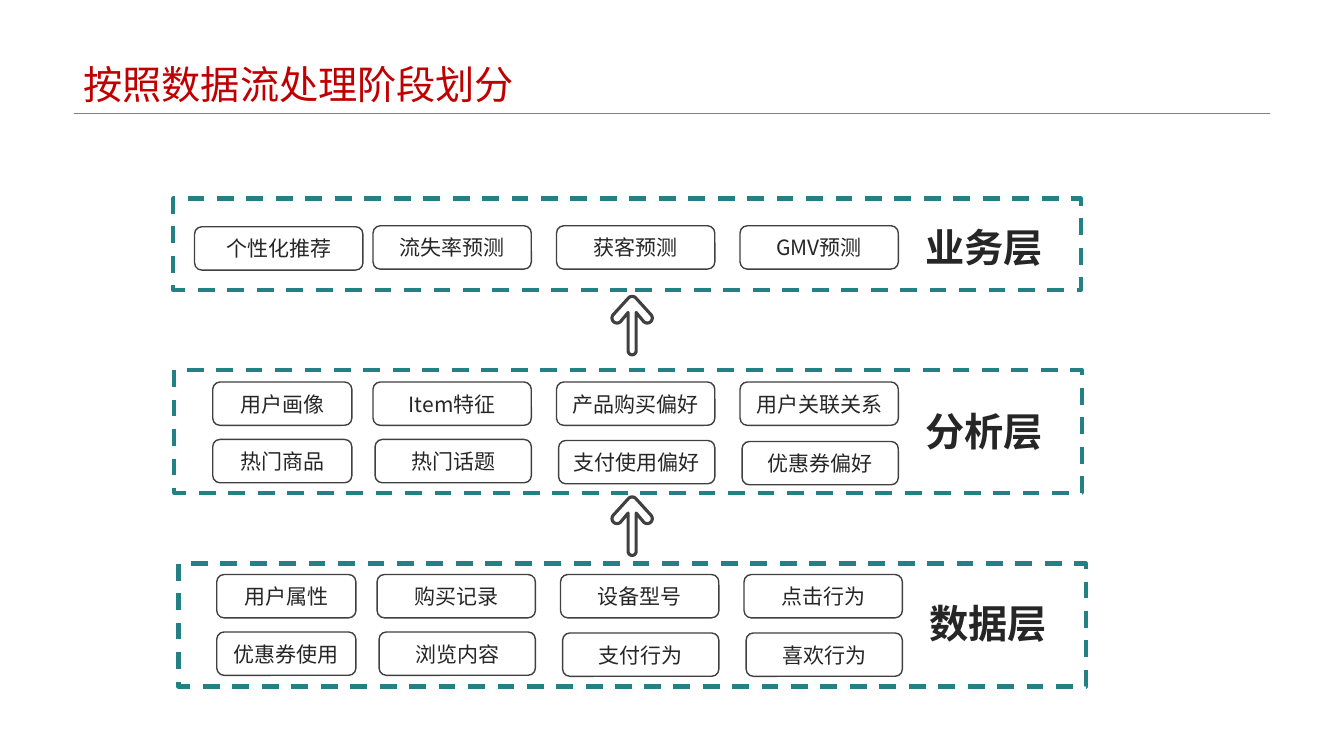
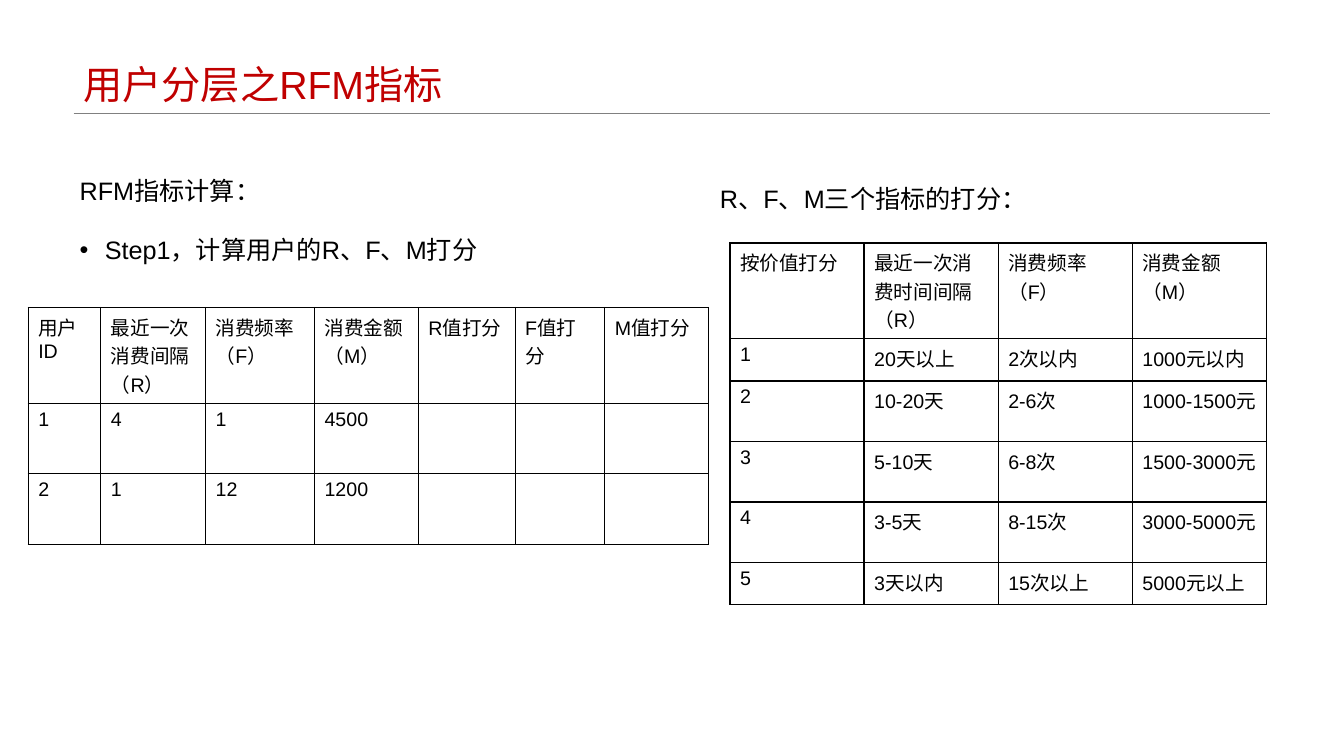
"""Builds two slides: data layers by processing stage, and RFM scoring tables."""
from math import cos, radians, sin

from lxml.etree import SubElement
from pptx import Presentation
from pptx.dml.color import RGBColor as RGB
from pptx.enum.dml import MSO_LINE
from pptx.enum.shapes import MSO_CONNECTOR, MSO_SHAPE
from pptx.enum.text import MSO_ANCHOR as ANCHOR, PP_ALIGN as ALIGN
from pptx.oxml.ns import qn
from pptx.util import Inches, Pt


class Theme:
    red = RGB(0xC0, 0x00, 0x00)
    teal = RGB(0x23, 0x81, 0x86)
    ink = RGB(0x26, 0x26, 0x26)
    outline = RGB(0x40, 0x40, 0x40)
    rule = RGB(0x80, 0x80, 0x80)
    black = RGB(0, 0, 0)
    white = RGB(0xFF, 0xFF, 0xFF)
    latin = "Arial"
    cjk = "Noto Sans CJK SC"
    heading = 28
    body = 18
    label = 15
    cell = 14


def write(p, text, size, color, font=Theme.latin, bold=False):
    r = p.add_run()
    r.text = text
    r.font.size = Pt(size)
    r.font.bold = bold
    r.font.color.rgb = color
    r.font.name = font
    SubElement(r.font._element, qn("a:ea"), typeface=Theme.cjk)


def add_text_frame(slide, x, y, w, h):
    tf = slide.shapes.add_textbox(Inches(x), Inches(y), Inches(w), Inches(h)).text_frame
    tf.word_wrap = True
    return tf


prs = Presentation()
prs.slide_width, prs.slide_height = Inches(13.33), Inches(7.5)

slides = []
for title in ("按照数据流处理阶段划分", "用户分层之RFM指标"):
    s = prs.slides.add_slide(prs.slide_layouts[6])
    rule = s.shapes.add_connector(
        MSO_CONNECTOR.STRAIGHT, Inches(0.73), Inches(1.12), Inches(12.6), Inches(1.12))
    rule.line.color.rgb = Theme.rule
    rule.line.width = Pt(0.25)
    SubElement(rule._element.spPr, qn("a:effectLst"))
    tf = add_text_frame(s, 0.73, 0, 11.87, 1.12)
    tf.vertical_anchor = ANCHOR.BOTTOM
    tf.paragraphs[0].line_spacing = 0.9
    write(tf.paragraphs[0], title, Theme.heading, Theme.red)
    slides.append(s)
layers_slide, rfm_slide = slides

layers = [
    ("业务层", 1.72, 1.97, 0.91, 8.57, 2.17, [
        (1.93, 1.67, 3.7, 1.57, (2.25, 2.24, 2.24, 2.24),
         ("个性化推荐", "流失率预测", "获客预测", "GMV预测"))]),
    ("分析层", 1.73, 3.67, 1.22, 8.57, 3.99, [
        (2.11, 1.38, 3.7, 1.57, (3.79,) * 4,
         ("用户画像", "Item特征", "产品购买偏好", "用户关联关系")),
        (2.11, 1.38, 3.72, 1.55, (4.36, 4.36, 4.37, 4.38),
         ("热门商品", "热门话题", "支付使用偏好", "优惠券偏好"))]),
    ("数据层", 1.77, 5.59, 1.22, 8.61, 5.9, [
        (2.15, 1.38, 3.74, 1.57, (5.7,) * 4,
         ("用户属性", "购买记录", "设备型号", "点击行为")),
        (2.15, 1.38, 3.76, 1.55, (6.27, 6.27, 6.28, 6.28),
         ("优惠券使用", "浏览内容", "支付行为", "喜欢行为"))]),
]
column_pitch = 1.82
for name, band_x, band_y, band_h, name_x, name_y, rows in layers:
    band = layers_slide.shapes.add_shape(
        MSO_SHAPE.RECTANGLE, Inches(band_x), Inches(band_y), Inches(9), Inches(band_h))
    band.shadow.inherit = False
    band.fill.background()
    band.line.color.rgb = Theme.teal
    band.line.width = Pt(3)
    band.line.dash_style = MSO_LINE.DASH
    p = add_text_frame(layers_slide, name_x, name_y, 2.38, 0.57).paragraphs[0]
    p.alignment = ALIGN.CENTER
    write(p, name, Theme.heading, Theme.ink, Theme.cjk, True)
    for first_x, first_w, next_x, next_w, tops, labels in rows:
        for i, (top, label) in enumerate(zip(tops, labels)):
            x = next_x + (i - 1) * column_pitch if i else first_x
            sp = layers_slide.shapes.add_shape(
                MSO_SHAPE.ROUNDED_RECTANGLE, Inches(x), Inches(top),
                Inches(next_w if i else first_w), Inches(0.43))
            sp.shadow.inherit = False
            sp.fill.solid()
            sp.fill.fore_color.rgb = Theme.white
            sp.line.color.rgb = Theme.outline
            sp.line.width = Pt(1)
            tf = sp.text_frame
            tf.word_wrap = True
            tf.vertical_anchor = ANCHOR.MIDDLE
            tf.paragraphs[0].alignment = ALIGN.CENTER
            write(tf.paragraphs[0], label, Theme.label, Theme.ink, Theme.cjk)

right_half = []
for cx, cy, radius, start, end in (
        (0, 0.05, 0.05, -90, -45), (0.15, 0.215, 0.05, -45, 135),
        (0.04, 0.16, 0, 0, 0), (0, 0.54, 0.04, 0, 90)):
    for angle in range(start, end + 1, 15):
        a = radians(angle)
        right_half.append((cx + radius * cos(a), cy + radius * sin(a)))
outline = right_half + [(-x, y) for x, y in reversed(right_half)]
for tip_y in (2.94, 4.93):
    points = [(Inches(6.27 + x), Inches(tip_y + y)) for x, y in outline]
    builder = layers_slide.shapes.build_freeform(*points[0])
    builder.add_line_segments(points[1:], close=True)
    arrow = builder.convert_to_shape()
    arrow.shadow.inherit = False
    arrow.fill.solid()
    arrow.fill.fore_color.rgb = Theme.white
    arrow.line.color.rgb = Theme.outline
    arrow.line.width = Pt(2.25)

for x, y, lines in (
        (0.74, 1.54, ("RFM指标计算：", "Step1，计算用户的R、F、M打分")),
        (7.09, 1.62, ("R、F、M三个指标的打分：",))):
    tf = add_text_frame(rfm_slide, x, y, 6.24, 4.6)
    tf.margin_left = tf.margin_right = tf.margin_top = tf.margin_bottom = Inches(0.05)
    for i, line in enumerate(lines):
        p = tf.add_paragraph() if i else tf.paragraphs[0]
        p.line_spacing = 1.5
        p.space_before = Pt(10)
        write(p, line, Theme.body, Theme.black)
        if i:
            pPr = p._p.get_or_add_pPr()
            pPr.set("marL", str(Inches(0.25)))
            pPr.set("indent", str(-Inches(0.25)))
            SubElement(pPr, qn("a:buFont"), typeface=Theme.latin)
            SubElement(pPr, qn("a:buChar"), char="•")

user_rows = [
    ("用户ID", "最近一次消费间隔（R）", "消费频率（F）", "消费金额（M）",
     "R值打分", "F值打分", "M值打分"),
    ("1", "4", "1", "4500", "", "", ""),
    ("2", "1", "12", "1200", "", "", ""),
]
score_rows = [
    ("按价值打分", "最近一次消费时间间隔（R）", "消费频率（F）", "消费金额（M）"),
    ("1", "20天以上", "2次以内", "1000元以内"),
    ("2", "10-20天", "2-6次", "1000-1500元"),
    ("3", "5-10天", "6-8次", "1500-3000元"),
    ("4", "3-5天", "8-15次", "3000-5000元"),
    ("5", "3天以内", "15次以上", "5000元以上"),
]
user_widths = (0.72, 1.04, 1.08, 1.03, 0.96, 0.89, 1.03)
user_heights = (0.95, 0.7, 0.7)
score_widths = (1.33,) * 4
score_heights = (0.95, 0.42, 0.6, 0.6, 0.6, 0.42)
for x, y, widths, heights, rows in (
        (0.28, 3.05, user_widths, user_heights, user_rows),
        (7.24, 2.41, score_widths, score_heights, score_rows)):
    table = rfm_slide.shapes.add_table(
        len(rows), len(widths), Inches(x), Inches(y),
        Inches(sum(widths)), Inches(sum(heights))).table
    table.first_row = table.horz_banding = False
    for column, width in zip(table.columns, widths):
        column.width = Inches(width)
    for row, height, texts in zip(table.rows, heights, rows):
        row.height = Inches(height)
        for cell, text in zip(row.cells, texts):
            tcPr = cell._tc.get_or_add_tcPr()
            for side in ("lnL", "lnR", "lnT", "lnB"):
                ln = SubElement(tcPr, qn(f"a:{side}"), w=str(Pt(1)))
                fill = SubElement(ln, qn("a:solidFill"))
                SubElement(fill, qn("a:srgbClr"), val=str(Theme.black))
            cell.fill.background()
            if text:
                write(cell.text_frame.paragraphs[0], text, Theme.cell, Theme.black)

prs.save("out.pptx")
